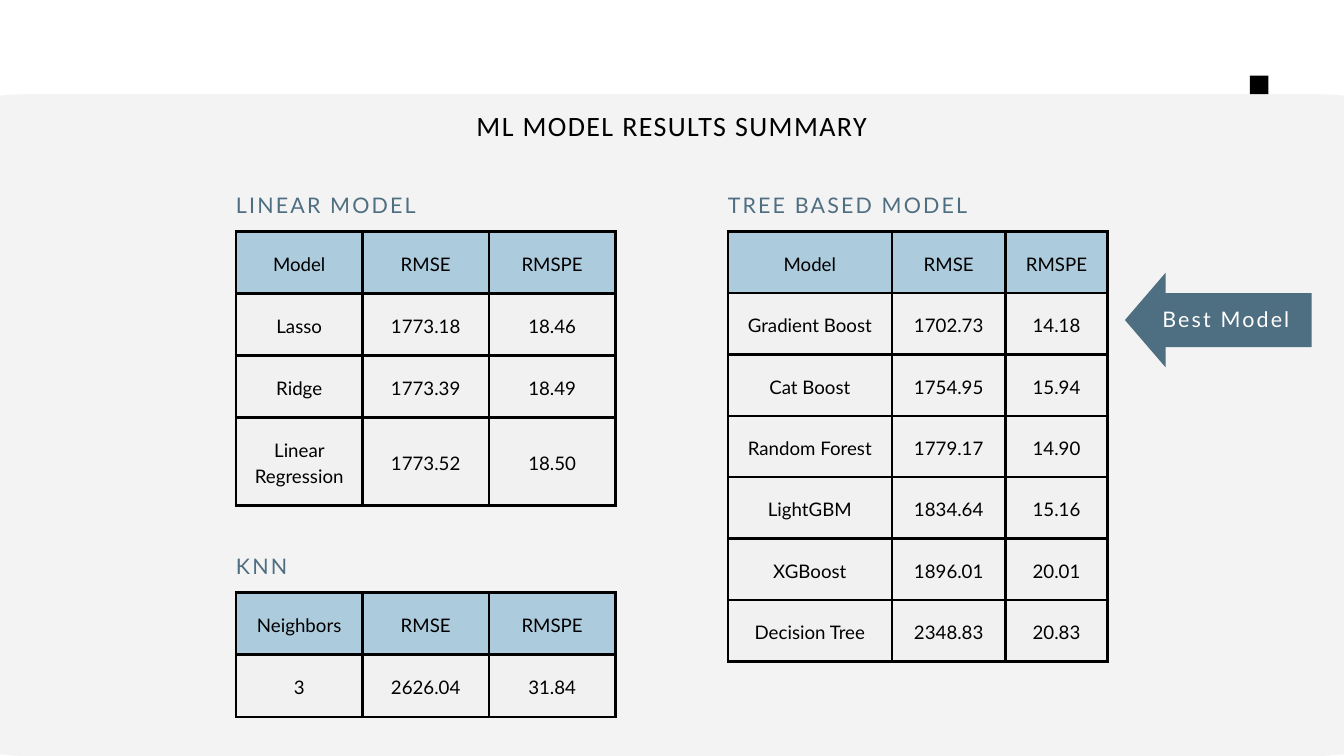
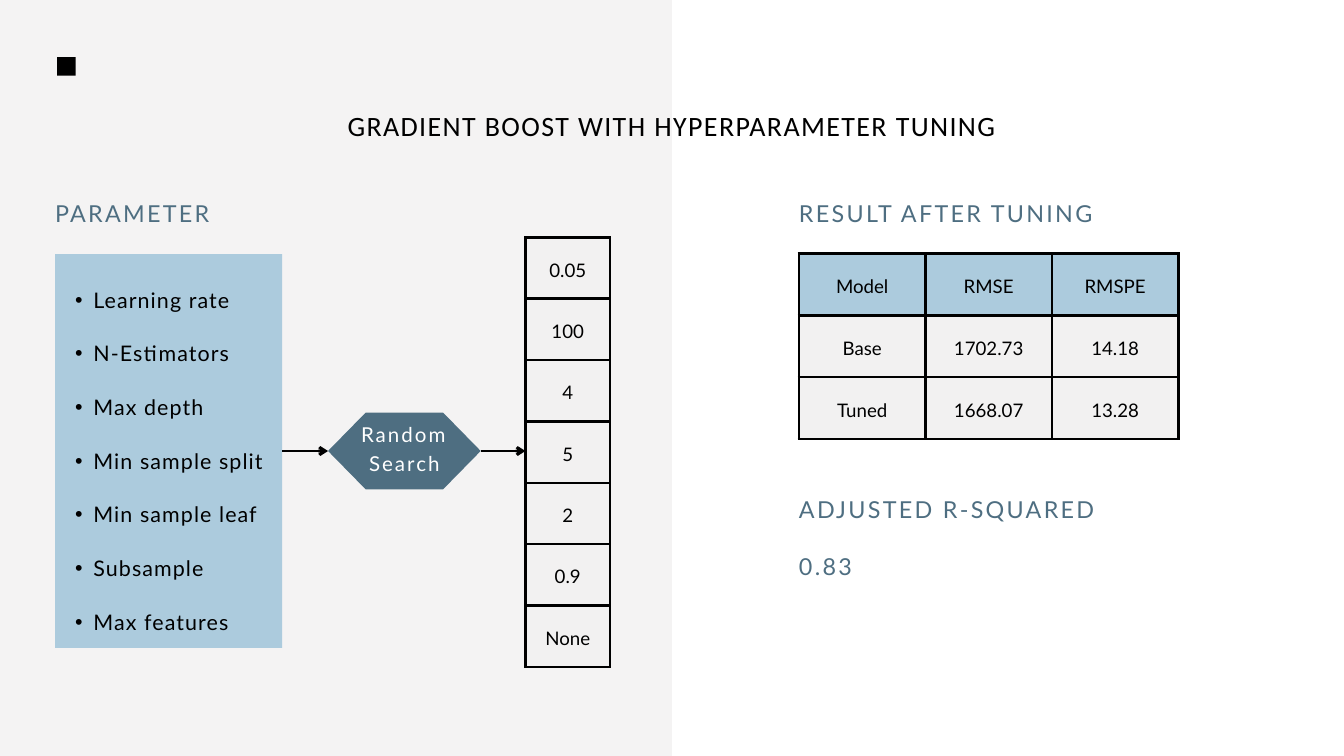
"""Build two slides on model results and hyperparameter tuning."""
from lxml.etree import SubElement
from pptx import Presentation
from pptx.dml.color import RGBColor
from pptx.enum.shapes import MSO_CONNECTOR, MSO_SHAPE
from pptx.enum.text import MSO_ANCHOR, PP_ALIGN
from pptx.oxml.ns import qn
from pptx.util import Cm, Pt

RECT, ROUND = MSO_SHAPE.RECTANGLE, MSO_SHAPE.ROUNDED_RECTANGLE
ARROW, HEX = MSO_SHAPE.LEFT_ARROW, MSO_SHAPE.HEXAGON
LINE = MSO_CONNECTOR.STRAIGHT
LEFT, MID = PP_ALIGN.LEFT, PP_ALIGN.CENTER
TOP, CENTER = MSO_ANCHOR.TOP, MSO_ANCHOR.MIDDLE

BLACK = RGBColor(0x00, 0x00, 0x00)
WHITE = RGBColor(0xFF, 0xFF, 0xFF)
GREY = RGBColor(0xF2, 0xF1, 0xF1)
SKY = RGBColor(0xAC, 0xCB, 0xDD)
STEEL = RGBColor(0x4E, 0x6E, 0x81)

WIDE, HIGH = 50.8, 28.58
SIDES = "left", "top", "right", "bottom"
SCORES = "RMSE", "RMSPE"
EVEN = [4.78] * 3

LINEAR = [
    ("Model", *SCORES),
    ("Lasso", "1773.18", "18.46"),
    ("Ridge", "1773.39", "18.49"),
    ("Linear Regression", "1773.52", "18.50"),
]
KNN = [("Neighbors", *SCORES), ("3", "2626.04", "31.84")]
TREES = [
    ("Model", *SCORES),
    ("Gradient Boost", "1702.73", "14.18"),
    ("Cat Boost", "1754.95", "15.94"),
    ("Random Forest", "1779.17", "14.90"),
    ("LightGBM", "1834.64", "15.16"),
    ("XGBoost", "1896.01", "20.01"),
    ("Decision Tree", "2348.83", "20.83"),
]
TUNED = [
    ("Model", *SCORES),
    ("Base", "1702.73", "14.18"),
    ("Tuned", "1668.07", "13.28"),
]
PARAMS = [
    "Learning rate", "N-Estimators", "Max depth", "Min sample split",
    "Min sample leaf", "Subsample", "Max features",
]
VALUES = [(val,) for val in ("0.05", "100", "4", "5", "2", "0.9", "None")]


def style(size, color, align=LEFT, space=0.0, lead=1.4, name="Lato"):
    """Return the format values of one kind of text."""
    return {
        "font": {"size": Pt(size), "name": name},
        "para": {"alignment": align, "line_spacing": Pt(round(size * lead, 1))},
        "color": color,
        "space": str(round(size * space * 100)),
    }


TITLE = style(30, BLACK, MID, 0.05, name="Calibri")
HEAD = style(23, STEEL, space=0.1)
LARGE = style(25, STEEL, space=0.1)
CELL = style(20, BLACK, MID)
BADGE = style(23, WHITE, MID, 0.1)
STEP = style(22, WHITE, MID, 0.1)
LIST = style(23, BLACK, space=0.05, lead=2.5)


def apply(item, values):
    for key, val in values.items():
        setattr(item, key, val)


def write(frame, lines, look, inset=(0, 0, 0, 0), anchor=TOP, wrap=True):
    """Fill a text frame with one paragraph for each line."""
    apply(frame, {"word_wrap": wrap, "vertical_anchor": anchor})
    apply(frame, {f"margin_{side}": Cm(gap) for side, gap in zip(SIDES, inset)})
    for num, line in enumerate(lines):
        para = frame.add_paragraph() if num else frame.paragraphs[0]
        para.text = line
        apply(para, look["para"])
        for run in para.runs:
            apply(run.font, look["font"])
            run.font.color.rgb = look["color"]
            run.font._element.set("spc", look["space"])


def add_text(slide, text, box, look):
    write(slide.shapes.add_textbox(*map(Cm, box)).text_frame, [text], look)


def add_block(slide, kind, box, color, adjust=(), alpha=None):
    shape = slide.shapes.add_shape(kind, *map(Cm, box))
    shape.shadow.inherit = False
    shape.fill.solid()
    shape.fill.fore_color.rgb = color
    shape.line.fill.background()
    for num, val in enumerate(adjust):
        shape.adjustments[num] = val
    if alpha:
        tint = shape._element.spPr.find(".//" + qn("a:srgbClr"))
        SubElement(tint, qn("a:alpha"), val=str(alpha * 1000))
    return shape


def add_border(cell):
    props = cell._tc.get_or_add_tcPr()
    for side in "LRTB":
        edge = SubElement(props, qn(f"a:ln{side}"), w=str(Pt(3)))
        fill = SubElement(edge, qn("a:solidFill"))
        SubElement(fill, qn("a:srgbClr"), val=str(BLACK))


def add_grid(slide, rows, left, top, cols, tall, header=True):
    """Draw a bordered table; tall lists the row heights."""
    box = map(Cm, (left, top, sum(cols), sum(tall)))
    table = slide.shapes.add_table(len(rows), len(cols), *box).table
    apply(table, {"first_row": header, "horz_banding": False})
    for col, size in zip(table.columns, cols):
        col.width = Cm(size)
    for num, (row, size) in enumerate(zip(rows, tall)):
        table.rows[num].height = Cm(size)
        for cell, text in zip(table.rows[num].cells, row):
            write(cell.text_frame, [text], CELL)
            apply(cell, {f"margin_{side}": Cm(0.53) for side in SIDES})
            cell.vertical_anchor = CENTER
            add_border(cell)
            cell.fill.solid()
            cell.fill.fore_color.rgb = SKY if header and num == 0 else GREY


def add_arrow(slide, start, end, y):
    line = slide.shapes.add_connector(LINE, Cm(start), Cm(y), Cm(end), Cm(y))
    line.line.width = Pt(3)
    line.line.color.rgb = BLACK
    props = line._element.spPr
    SubElement(props.find(qn("a:ln")), qn("a:tailEnd"), type="arrow")
    SubElement(props, qn("a:effectLst"))
    return line


def add_base(deck, title, panel, kind, adjust, mark):
    """Start a slide with its panel, square mark and title."""
    slide = deck.slides.add_slide(deck.slide_layouts[6])
    add_block(slide, kind, panel, GREY, adjust, 80)
    add_block(slide, RECT, (*mark, 0.7, 0.7), BLACK)
    add_text(slide, title, (3.84, 3.9, 43.12, 1.52), TITLE)
    return slide


def add_summary(deck):
    slide = add_base(deck, "ML MODEL RESULTS SUMMARY",
                     (-9.4, 3.56, 69.6, 25.02), ROUND, [0.42], (47.24, 2.86))
    grids = [
        ("LINEAR MODEL", LINEAR, 8.92, 8.76, EVEN, [2.34] * 3 + [3.33]),
        ("KNN", KNN, 8.92, 22.4, EVEN, [2.35] * 2),
        ("TREE BASED MODEL", TREES, 27.51, 8.76, [6.2, 4.3, 3.85], [2.32] * 7),
    ]
    for head, rows, left, top, cols, tall in grids:
        add_grid(slide, rows, left, top, cols, tall)
        add_text(slide, head, (left, top - 1.67, 10.46, 1.09), HEAD)
    best = add_block(slide, ARROW, (42.52, 10.31, 7.06, 3.58), STEEL, [0.57, 0.43])
    write(best.text_frame, ["Best Model"], BADGE, (0.15, 0, 0.45, 0.25), CENTER, False)


def add_tuning(deck):
    slide = add_base(deck, "GRADIENT BOOST WITH HYPERPARAMETER TUNING",
                     (0, 0, WIDE / 2, HIGH), RECT, [], (2.16, 2.16))
    left, right, mid = 2.08, 30.2, 17.05
    wide, high = 8.59, 14.88
    node, span, deep = 12.4, 5.77, 2.9
    grid = 19.86
    add_grid(slide, TUNED, right, 9.58, EVEN, [2.34] * 3)
    add_grid(slide, VALUES, grid, 8.97, [3.2], [2.32] * 7, False)

    step = add_block(slide, HEX, (node, mid - deep / 2, span, deep), STEEL, [0.49])
    write(step.text_frame, ["Random\nSearch"], STEP, (0, 0, 0, 0.33), CENTER, False)
    box = add_block(slide, RECT, (left, mid - high / 2, wide, high), SKY)
    write(box.text_frame, PARAMS, LIST, (0.08, 0.18, 0, 0))
    for para in box.text_frame.paragraphs:
        props = para._p.get_or_add_pPr()
        props.set("marL", str(Cm(1.37)))
        props.set("indent", str(Cm(-0.69)))
        SubElement(props, qn("a:buFont"), typeface="Arial")
        SubElement(props, qn("a:buChar"), char="•")

    heads = [
        ("PARAMETER", left, 7.37),
        ("RESULT AFTER TUNING", right, 7.37),
        ("ADJUSTED R-SQUARED", right, 18.54),
        ("0.83", right, 20.68),
    ]
    for text, x, y in heads:
        add_text(slide, text, (x, y, 16, 1.14), LARGE)
    add_arrow(slide, left + wide, node, mid).begin_connect(box, 3)
    add_arrow(slide, node + span, grid, mid)


def main():
    deck = Presentation()
    apply(deck, {"slide_width": Cm(WIDE), "slide_height": Cm(HIGH)})
    add_summary(deck)
    add_tuning(deck)
    deck.save("out.pptx")


if __name__ == "__main__":
    main()
